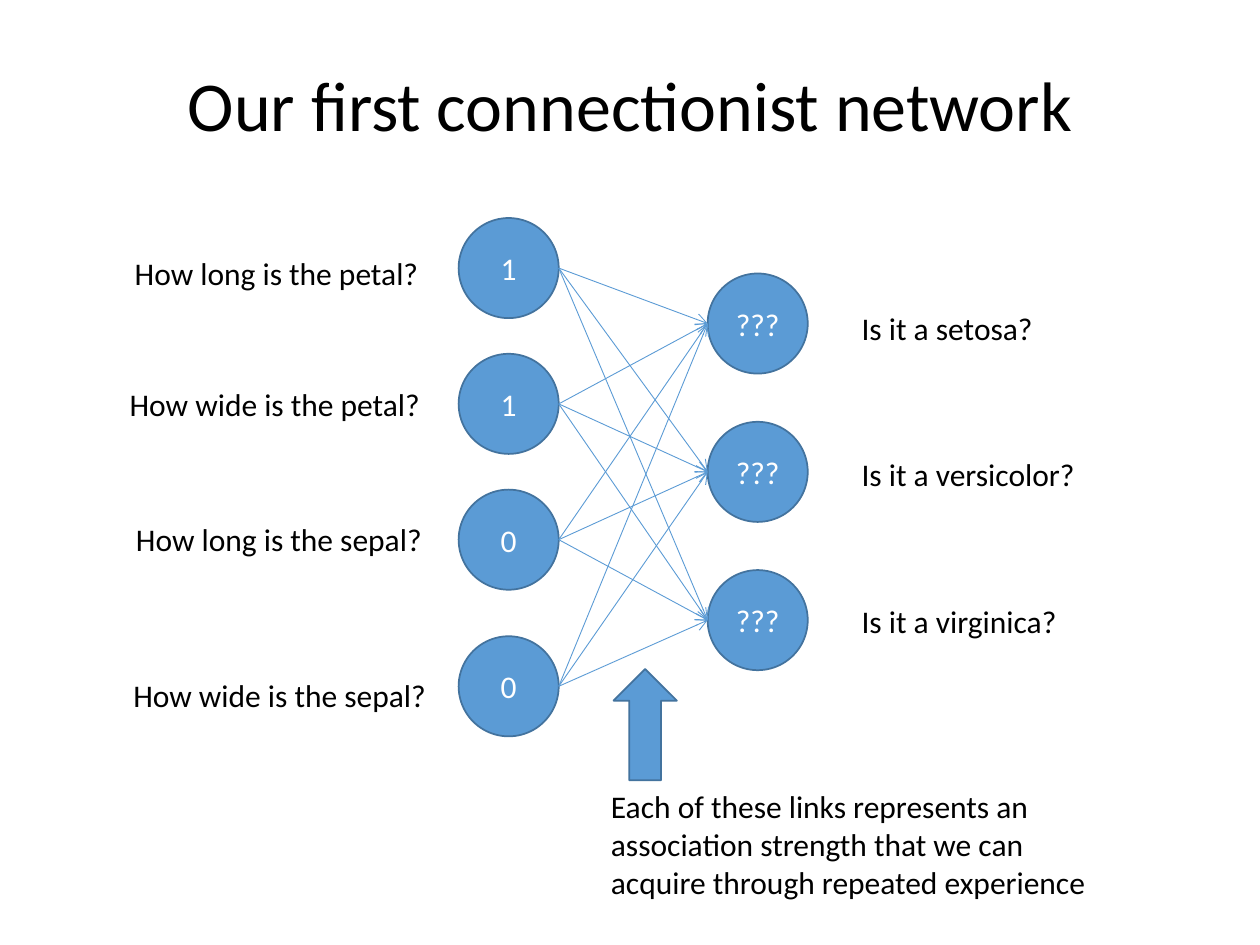
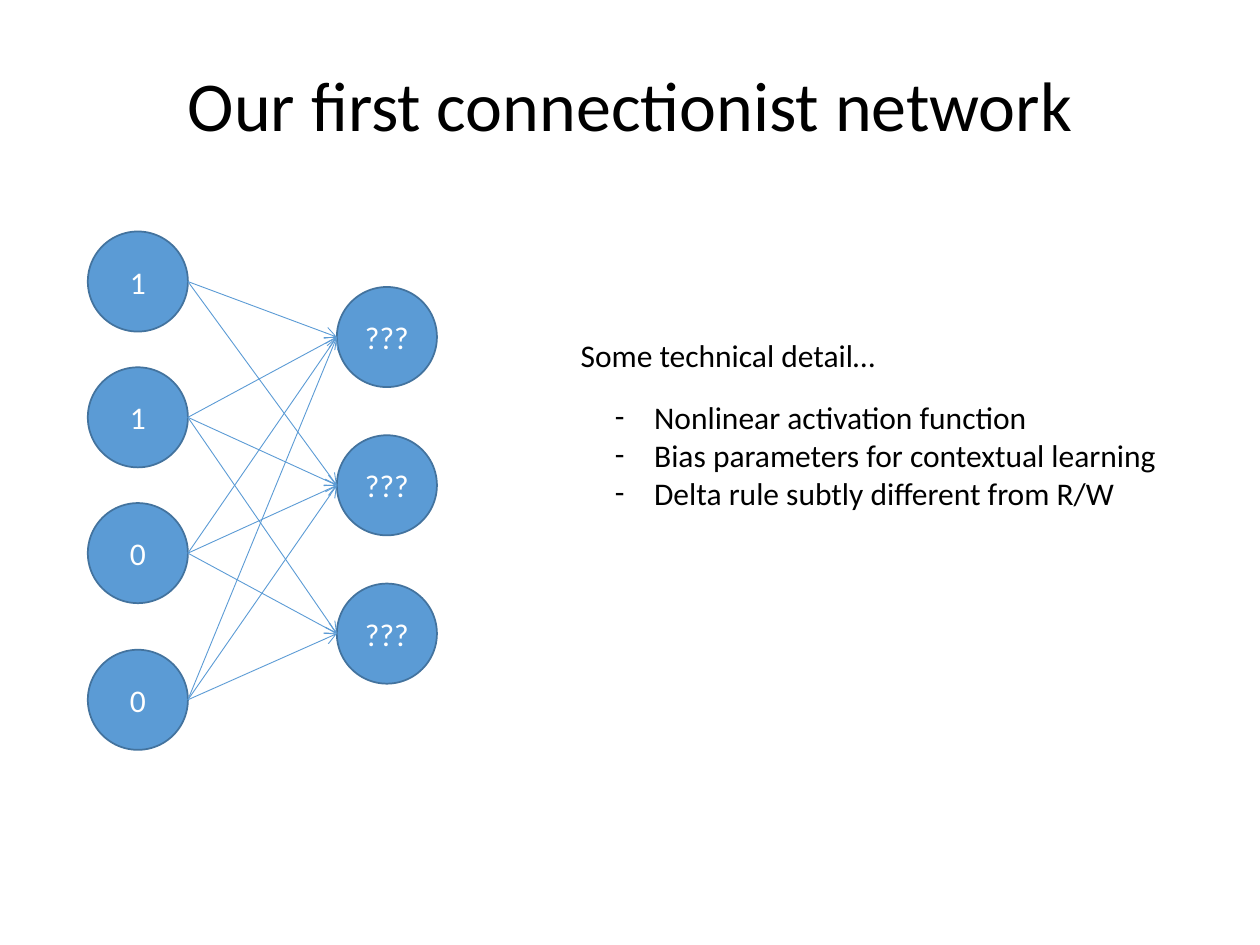
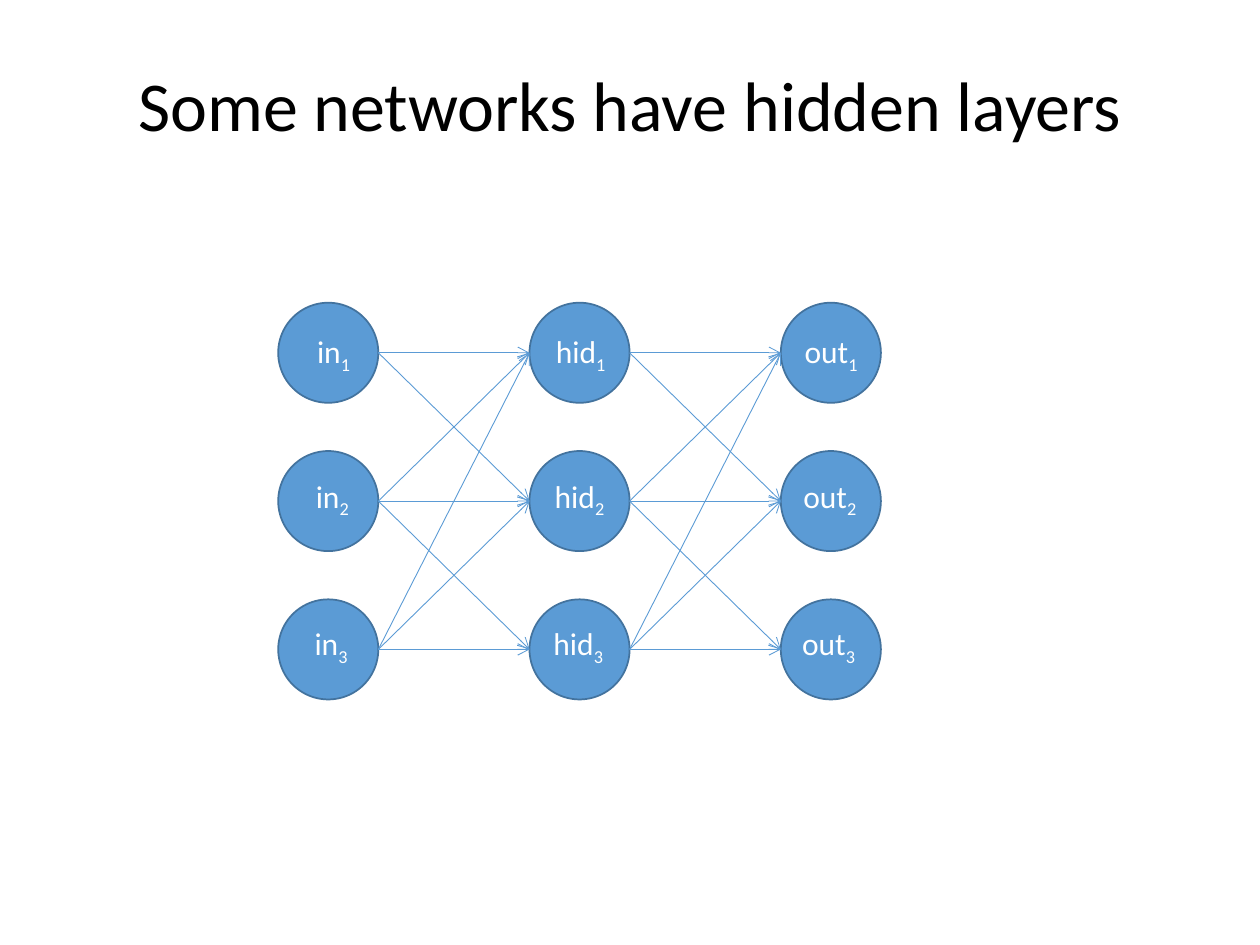
from lxml import etree
from pptx import Presentation
from pptx.dml.color import RGBColor
from pptx.enum.shapes import MSO_CONNECTOR, MSO_SHAPE
from pptx.enum.text import MSO_ANCHOR, MSO_AUTO_SIZE, PP_ALIGN
from pptx.oxml.ns import qn
from pptx.util import Pt

OVAL, UP_ARROW = MSO_SHAPE.OVAL, MSO_SHAPE.UP_ARROW
STRAIGHT = MSO_CONNECTOR.STRAIGHT
MIDDLE, CENTER, LEFT = MSO_ANCHOR.MIDDLE, PP_ALIGN.CENTER, PP_ALIGN.LEFT
GROW = MSO_AUTO_SIZE.SHAPE_TO_FIT_TEXT

COLORS = {"node": "5B9BD5", "outline": "43739E", "text": "000000", "on_node": "FFFFFF"}
FONT = "Calibri"
BODY_FONT = {"name": FONT, "size": Pt(18)}
TITLE_FONT = {"name": FONT, "size": Pt(40)}
TITLE_ONLY, TITLE_AND_BODY = 5, 1

# Geometry in points
TITLE_BOX = (49.5, 28.8, 621, 66.6)
NODE = 57.2
LABEL_HEIGHT = 29
INPUT_OFFSETS = (0, 77.6, 155.2, 239)
OUTPUT_LEFT, OUTPUT_TOP = 142.3, 31.7
ROW_STEP = 84.75
HIDDEN_STEP = 143.6


def color(name):
    return RGBColor.from_string(COLORS[name])


def apply_format(target, formats):
    for name, value in formats.items():
        setattr(target, name, value)


def place(shape, box):
    apply_format(shape, dict(zip(("left", "top", "width", "height"), map(Pt, box))))


def add_run(paragraph, text, font=BODY_FONT, color_name="text"):
    run = paragraph.add_run()
    run.text = text
    apply_format(run.font, font)
    run.font.color.rgb = color(color_name)
    return run


def add_slide(presentation, layout, title):
    slide = presentation.slides.add_slide(presentation.slide_layouts[layout])
    place(slide.shapes.title, TITLE_BOX)
    frame = slide.shapes.title.text_frame
    frame.vertical_anchor = MIDDLE
    paragraph = frame.paragraphs[0]
    apply_format(paragraph, {"alignment": CENTER, "line_spacing": 0.9})
    add_run(paragraph, title, TITLE_FONT)
    return slide


def add_text(slide, text, box, wrap=True, color_name="text"):
    text_box = slide.shapes.add_textbox(*map(Pt, box))
    apply_format(text_box.text_frame, {"word_wrap": wrap, "auto_size": GROW})
    paragraph = text_box.text_frame.paragraphs[0]
    add_run(paragraph, text, color_name=color_name)
    return paragraph


def add_blue_shape(slide, kind, box):
    shape = slide.shapes.add_shape(kind, *map(Pt, box))
    shape.shadow.inherit = False
    shape.fill.solid()
    shape.fill.fore_color.rgb = color("node")
    shape.line.color.rgb = color("outline")
    shape.line.width = Pt(1)
    return shape


def add_layer(slide, left, tops, values=()):
    """Draw a column of nodes, with a value inside each if given."""
    nodes = [add_blue_shape(slide, OVAL, (left, top, NODE, NODE)) for top in tops]
    for node, value in zip(nodes, values):
        node.text_frame.vertical_anchor = MIDDLE
        paragraph = node.text_frame.paragraphs[0]
        paragraph.alignment = CENTER
        add_run(paragraph, value, color_name="on_node")
    return nodes


def link_layers(slide, sources, targets, missing=()):
    """Join the right of every source to the left of every target."""
    for row, source in enumerate(sources):
        for column, target in enumerate(targets):
            if (row, column) in missing:
                continue
            link = slide.shapes.add_connector(
                STRAIGHT, source.left + source.width, source.top + source.height // 2,
                target.left, target.top + target.height // 2)
            link.line.color.rgb = color("node")
            link.line.width = Pt(0.5)
            etree.SubElement(link.line._get_or_add_ln(), qn("a:tailEnd"), type="arrow")
            etree.SubElement(link._element.spPr, qn("a:effectLst"))


def add_iris_network(slide, left, top, missing=()):
    inputs = add_layer(slide, left, [top + offset for offset in INPUT_OFFSETS], "1100")
    output_tops = [top + OUTPUT_TOP + row * ROW_STEP for row in range(3)]
    outputs = add_layer(slide, left + OUTPUT_LEFT, output_tops, ["???"] * 3)
    link_layers(slide, inputs, outputs, missing)


def add_questions(slide, left, top):
    """Label the network whose top left corner is given."""
    input_questions = (
        ("How long is the petal?", -192.2, 17.2),
        ("How wide is the petal?", -195.1, 91.6),
        ("How long is the sepal?", -191.5, 169.2),
        ("How wide is the sepal?", -193, 258.4))
    for text, across, down in input_questions:
        add_text(slide, text, (left + across, top + down, 185.5, LABEL_HEIGHT))
    for row, species in enumerate(("setosa", "versicolor", "virginica")):
        add_text(slide, f"Is it a {species}?",
                 (left + 223.2, top + 48.2 + row * 83.9, 185, LABEL_HEIGHT))


def add_link_note(slide, left, top):
    add_blue_shape(slide, UP_ARROW, (left + 8.6, top, 36.2, 63.6))
    add_text(slide, "Each of these links represents an association strength "
             "that we can acquire through repeated experience",
             (left, top + 64.1, 287.3, 72.7))


def add_technical_detail(slide, left, top):
    add_text(slide, "Some technical detail…", (left, top, 188, LABEL_HEIGHT), wrap=False)
    body = slide.placeholders[1]
    place(body, (left + 19.4, top + 35.3, 326.2, 72.7))
    frame = body.text_frame
    apply_format(frame, {"word_wrap": False, "auto_size": GROW})
    details = ("Nonlinear activation function", "Bias parameters for contextual learning",
               "Delta rule subtly different from R/W")
    for index, detail in enumerate(details):
        paragraph = frame.add_paragraph() if index else frame.paragraphs[0]
        apply_format(paragraph, {"alignment": LEFT, "space_before": Pt(0)})
        properties = paragraph._p.get_or_add_pPr()
        properties.set("marL", str(Pt(22.5)))
        properties.set("indent", str(-Pt(22.5)))
        etree.SubElement(properties, qn("a:buFont"), typeface=FONT)
        etree.SubElement(properties, qn("a:buChar"), char="-")
        add_run(paragraph, detail)


def add_hidden_network(slide, left, top):
    columns = (("in", 15.1, 33.8), ("hid", 8, 43.2), ("out", 6.5, 45.4))
    label_drops = (13.2, 11, 10.8)
    tops = [top + row * ROW_STEP for row in range(3)]
    layers = [add_layer(slide, left + index * HIDDEN_STEP, tops)
              for index in range(len(columns))]
    for sources, targets in zip(layers, layers[1:]):
        link_layers(slide, sources, targets, missing={(0, 2)})
    # Subscripted names over the nodes
    for index, (name, inset, width) in enumerate(columns):
        for row, drop in enumerate(label_drops):
            box = (left + index * HIDDEN_STEP + inset - 0.7 * row,
                   tops[row] + drop, width, LABEL_HEIGHT)
            paragraph = add_text(slide, name, box, wrap=False, color_name="on_node")
            subscript = add_run(paragraph, str(row + 1), color_name="on_node")
            subscript._r.get_or_add_rPr().set("baseline", "-25000")


def main():
    presentation = Presentation()
    presentation.slide_width, presentation.slide_height = Pt(720), Pt(540)

    # Network with questions
    slide = add_slide(presentation, TITLE_ONLY, "Our first connectionist network")
    add_iris_network(slide, 262.1, 124.6)
    add_questions(slide, 262.1, 124.6)
    add_link_note(slide, 342, 382.3)

    # Network with technical detail
    slide = add_slide(presentation, TITLE_AND_BODY, "Our first connectionist network")
    add_iris_network(slide, 50.2, 132.3, missing={(0, 2)})
    add_technical_detail(slide, 324.7, 188.6)

    # Hidden layers
    slide = add_slide(presentation, TITLE_ONLY, "Some networks have hidden layers")
    add_hidden_network(slide, 159, 173)

    presentation.save("out.pptx")


if __name__ == "__main__":
    main()
